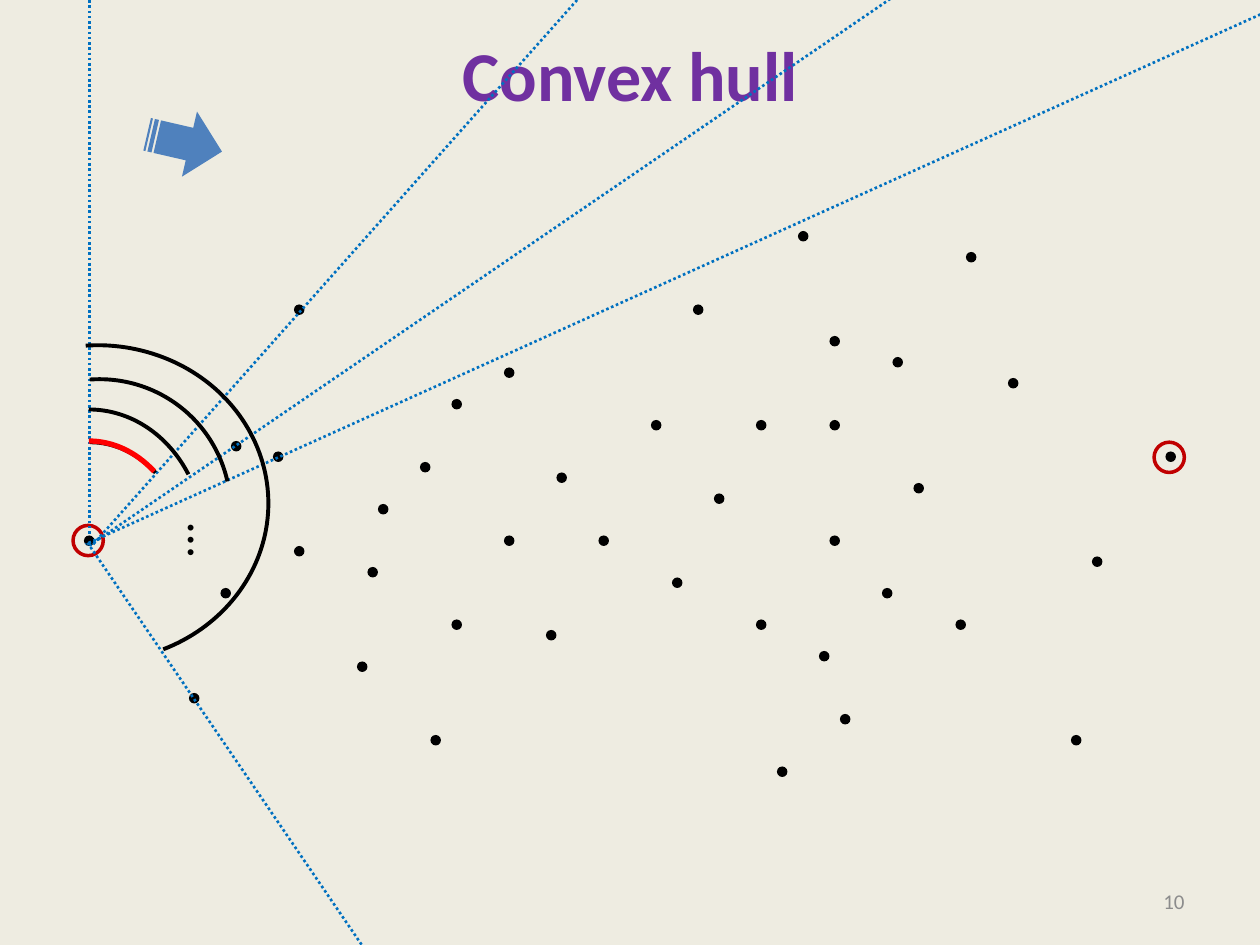
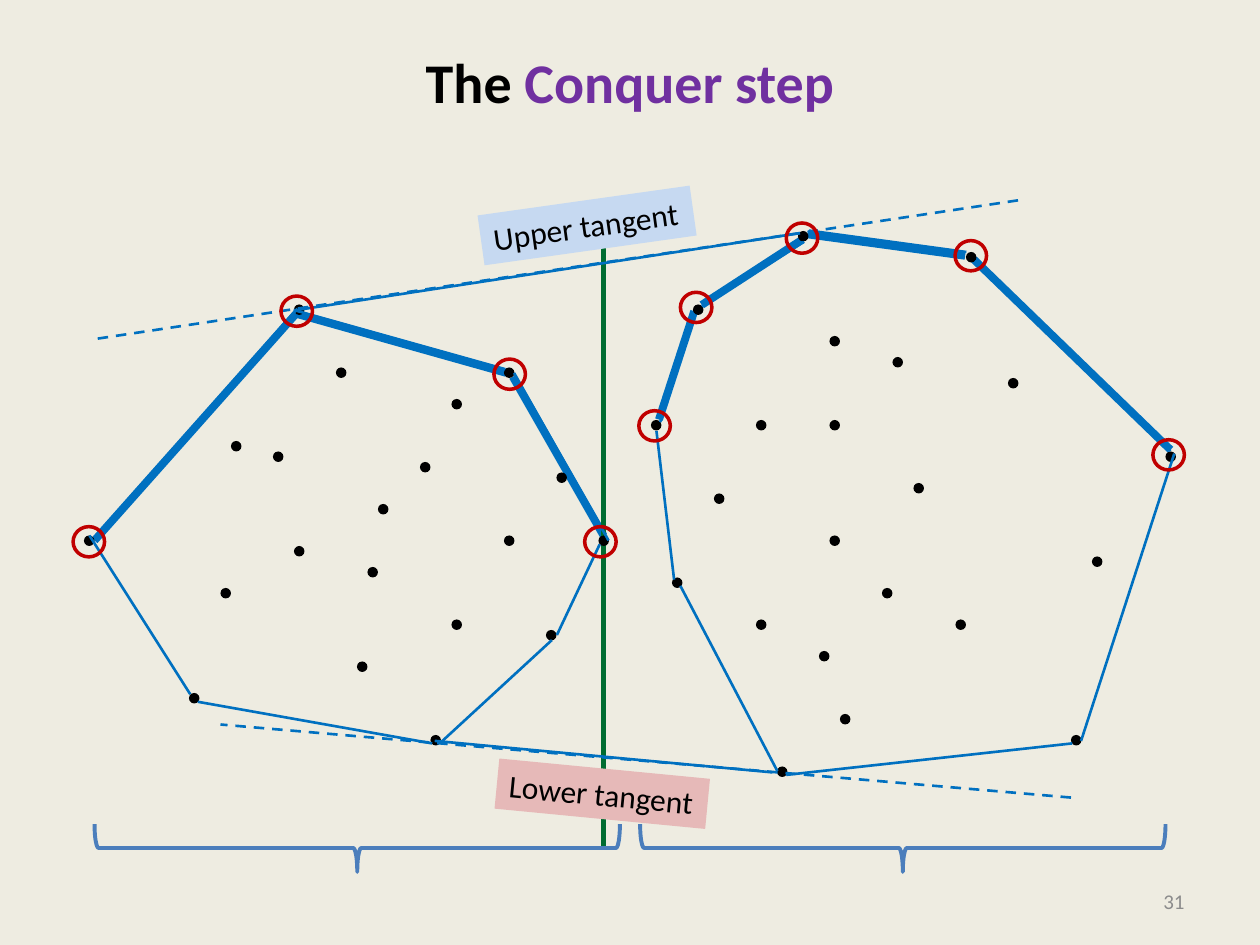
from lxml.etree import SubElement
from pptx import Presentation
from pptx.dml.color import RGBColor as Rgb
from pptx.enum.dml import MSO_LINE as Dash
from pptx.enum.shapes import MSO_CONNECTOR as Link, MSO_SHAPE as Kind
from pptx.enum.text import MSO_ANCHOR as Anchor, MSO_AUTO_SIZE as Fit, PP_ALIGN as Align
from pptx.oxml.ns import qn
from pptx.util import Inches, Pt

FONT = "Calibri"
CREAM, BLACK, GRAY = "EEECE1", "000000", "8C8C8C"
PURPLE, BLUE, GREEN = "7030A0", "0070C0", "006C31"
CRIMSON, RED, STEEL, BRACE = "C00000", "FF0000", "4F81BD", "4B7EBC"
SKY, ROSE = "C6D9F1", "E6B9B8"

CELL = 1 / 12
DOTS = [
    (43, 38), (48, 51), (87, 46), (21, 56), (43, 59), (79, 51), (80, 68),
    (66, 29), (41, 70), (36, 48), (91, 59), (85, 34), (78, 62), (26, 43),
    (28, 52), (22, 42), (34, 63), (28, 29), (79, 40), (72, 40), (72, 59),
    (74, 73), (76, 22), (111, 43), (104, 53), (96, 36), (102, 70), (18, 66),
    (8, 51), (57, 51), (84, 56), (35, 54), (40, 44), (52, 60), (64, 55),
    (62, 40), (79, 32), (48, 35), (53, 45), (68, 47), (92, 24),
]
INNER = (32, 35)

RAYS = [
    (4.58, 0, 0.74, 4.32), (7.17, -0.08, 0.71, 4.33),
    (10.08, 0.08, 0.68, 4.32), (0.71, 0, 0.71, 4.25),
    (2.94, 7.6, 0.69, 4.3),
]
ARCS = [
    ((-0.08, 3.51, 1.59, 1.99), 162, 182.73, BLACK, 2.25),
    ((-0.21, 3.25, 1.83, 2.07), 162, 196.01, BLACK, 2.25),
    ((-0.25, 3.01, 2.08, 2.07), 159.41, 208.53, BLACK, 2.25),
    ((-0.09, 3.5, 1.59, 1.99), 162, 182.73, RED, 3),
    ((-0.58, 2.74, 2.71, 2.51), 159.41, 39.48, BLACK, 2.25),
]

THICK = [
    (9.29, 3.57, 7.73, 2.06), (7.66, 2.03, 6.41, 1.86),
    (6.37, 1.9, 5.57, 2.42), (5.51, 2.47, 5.23, 3.33),
    (2.35, 2.49, 0.75, 4.29), (4.02, 2.96, 2.35, 2.49),
    (4.07, 2.99, 4.79, 4.25),
]
THIN = [
    (0.71, 4.25, 1.51, 5.51), (3.43, 5.9, 1.57, 5.57),
    (4.38, 5.08, 3.49, 5.9), (2.36, 2.45, 0.77, 4.26),
    (4.01, 2.93, 2.33, 2.46), (4.76, 4.32, 4.42, 5.04),
    (4.08, 2.96, 4.83, 4.29), (8.51, 5.9, 6.24, 6.15),
    (9.32, 3.6, 8.58, 5.88), (9.29, 3.58, 7.74, 2.07),
    (7.67, 2, 6.42, 1.83), (5.21, 3.42, 5.35, 4.6),
    (6.38, 1.92, 5.57, 2.43), (5.51, 2.49, 5.24, 3.35),
    (5.4, 4.65, 6.17, 6.12),
]
BOUNDS = [(8.08, 1.59, 0.76, 2.69), (8.5, 6.33, 1.75, 5.75)]
JOINS = [(6.35, 1.85, 2.36, 2.46), (6.13, 6.13, 3.45, 5.88)]
TOPS = [
    (0.58, 4.18), (4.64, 4.18), (3.92, 2.85), (2.23, 2.35), (5.07, 3.26),
    (5.4, 2.32), (6.24, 1.77), (7.58, 1.91), (9.15, 3.49),
]


def paint(code):
    return Rgb.from_string(code)


def place(box):
    return [Inches(v) for v in box]


def write(frame, *runs, size, align=Align.LEFT, bold=False):
    para = frame.paragraphs[0]
    para.alignment = align
    for words, color in runs:
        run = para.add_run()
        run.text = words
        run.font.name = FONT
        run.font.size = Pt(size)
        run.font.bold = bold
        run.font.color.rgb = paint(color)


def shape(slide, kind, box, fill=None, line=None, width=2, turn=0):
    item = slide.shapes.add_shape(kind, *place(box))
    item.shadow.inherit = False
    item.rotation = turn
    if fill:
        item.fill.solid()
        item.fill.fore_color.rgb = paint(fill)
    else:
        item.fill.background()
    if line:
        item.line.color.rgb = paint(line)
        item.line.width = Pt(width)
    else:
        item.line.fill.background()
    return item


def lines(slide, ends, width=1.5, color=BLUE, dash=None):
    for end in ends:
        item = slide.shapes.add_connector(Link.STRAIGHT, *place(end))
        item.line.color.rgb = paint(color)
        item.line.width = Pt(width)
        if dash:
            item.line.dash_style = dash
        SubElement(item._element.spPr, qn("a:effectLst"))


def label(slide, box, words, size=18, turn=0, fill=None):
    item = slide.shapes.add_textbox(*place(box))
    item.rotation = turn
    if fill:
        item.fill.solid()
        item.fill.fore_color.rgb = paint(fill)
    item.text_frame.word_wrap = False
    item.text_frame.auto_size = Fit.SHAPE_TO_FIT_TEXT
    write(item.text_frame, (words, BLACK), size=size)


def start(deck, number, *runs, size, inset):
    slide = deck.slides.add_slide(deck.slide_layouts[5])
    slide.background.fill.solid()
    slide.background.fill.fore_color.rgb = paint(CREAM)
    title = slide.shapes.title
    title.left, title.top, title.width, title.height = place((0.5, 0.25, 9, 1.25))
    frame = title.text_frame
    frame.auto_size = Fit.NONE
    frame.vertical_anchor = Anchor.TOP
    frame.margin_top = Inches(inset)
    write(frame, *runs, size=size, align=Align.CENTER, bold=True)
    foot = slide.shapes.add_textbox(*place((7.17, 6.95, 2.33, 0.4))).text_frame
    foot.word_wrap = True
    foot.vertical_anchor = Anchor.MIDDLE
    write(foot, (number, GRAY), size=12, align=Align.RIGHT)
    return slide


def cloud(slide, dots, left=0, top=0):
    for col, row in dots:
        box = (left + col * CELL, top + row * CELL, CELL, CELL)
        shape(slide, Kind.OVAL, box, fill=BLACK)


def rings(slide, spots, wide, high):
    for left, top in spots:
        shape(slide, Kind.OVAL, (left, top, wide, high), line=CRIMSON)


def sweep(slide):
    for box, begin, end, color, width in ARCS:
        arc = shape(slide, Kind.ARC, box, line=color, width=width)
        arc.adjustments[0] = begin
        arc.adjustments[1] = end


def brace(slide, left, top, wide, high):
    box = (left + (wide - high) / 2, top + (high - wide) / 2, high, wide)
    shape(slide, Kind.RIGHT_BRACE, box, line=BRACE, width=2.25, turn=90)


def scan(deck):
    slide = start(deck, "10", ("Convex hull", PURPLE), size=40, inset=0)
    cloud(slide, DOTS)
    shape(slide, Kind.STRIPED_RIGHT_ARROW, (1.16, 0.87, 0.61, 0.53), fill=STEEL, turn=13)
    rings(slide, [(0.58, 4.17), (9.16, 3.51)], 0.24, 0.24)
    lines(slide, RAYS, dash=Dash.ROUND_DOT)
    sweep(slide)
    label(slide, (1.41, 4.01, 0.47, 0.57), "…", size=28, turn=90)


def merge(deck):
    slide = start(deck, "31", ("The ", BLACK), ("Conquer step", PURPLE), size=32, inset=0.13)
    lines(slide, THICK, width=4.5)
    lines(slide, [(4.79, 1.78, 4.79, 6.72)], width=3, color=GREEN)
    cloud(slide, DOTS + [INNER])
    lines(slide, THIN)
    lines(slide, BOUNDS, dash=Dash.DASH)
    lines(slide, JOINS)
    for left in (0.75, 5.08):
        brace(slide, left, 6.54, 4.17, 0.38)
    rings(slide, TOPS, 0.25, 0.24)
    label(slide, (3.81, 1.59, 1.7, 0.4), "Upper tangent", turn=352, fill=SKY)
    label(slide, (3.94, 6.1, 1.68, 0.4), "Lower tangent", turn=5.5, fill=ROSE)


def main():
    deck = Presentation()
    deck.slide_width, deck.slide_height = place((10, 7.5))
    scan(deck)
    merge(deck)
    deck.save("out.pptx")


if __name__ == "__main__":
    main()
